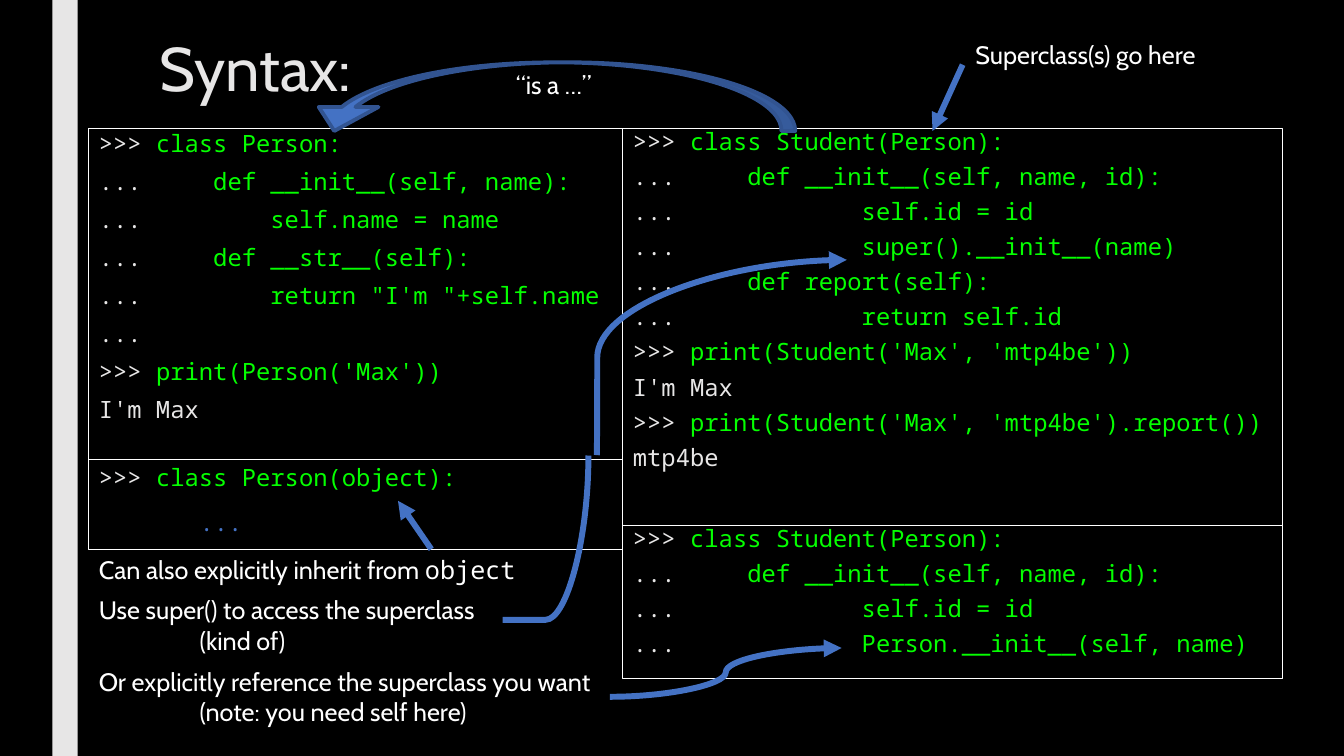
from dataclasses import dataclass

from lxml import etree
from pptx import Presentation
from pptx.dml.color import RGBColor
from pptx.enum import shapes, text
from pptx.oxml.ns import qn
from pptx.util import Cm, Pt


@dataclass(frozen=True)
class Theme:
    black = RGBColor.from_string("000000")
    white = RGBColor.from_string("FFFFFF")
    grey = RGBColor.from_string("E7E6E6")
    green = RGBColor.from_string("05FF00")
    blue = RGBColor.from_string("4472C4")
    dark_blue = RGBColor.from_string("325491")
    sans = "Cabin"
    mono = "Noto Sans Mono"
    title_size = Pt(44)
    note_size = Pt(18)
    code_size = Pt(17)


theme = Theme()


def style(paragraph, name, size, color):
    paragraph.alignment = text.PP_ALIGN.LEFT
    paragraph.font.name = name
    paragraph.font.size = size
    paragraph.font.color.rgb = color


def add_arrow(kind, points, head=True):
    connector = slide.shapes.add_connector(kind, *[Cm(value) for value in points])
    connector.line.color.rgb = theme.blue
    connector.line.width = Pt(4.25)
    properties = connector.element.spPr
    if head:
        line = properties.find(qn("a:ln"))
        etree.SubElement(line, qn("a:tailEnd"), type="triangle")
    etree.SubElement(properties, qn("a:effectLst"))
    return connector


presentation = Presentation()
presentation.slide_width = Cm(33.87)
presentation.slide_height = Cm(19.05)
slide = presentation.slides.add_slide(presentation.slide_layouts[5])
slide.background.fill.solid()
slide.background.fill.fore_color.rgb = theme.black

bar = slide.shapes.add_shape(
    shapes.MSO_SHAPE.RECTANGLE, Cm(1.32), 0, Cm(0.64), presentation.slide_height)
bar.shadow.inherit = False
bar.fill.solid()
bar.fill.fore_color.rgb = theme.grey
bar.line.fill.background()

title = slide.shapes.title
title.left, title.top, title.width, title.height = Cm(3.76), Cm(0.86), Cm(26.67), Cm(4.11)
title.text_frame.text = "Syntax:"
title.text_frame.vertical_anchor = text.MSO_ANCHOR.TOP
title.text_frame.auto_size = text.MSO_AUTO_SIZE.NONE
title.text_frame.paragraphs[0].line_spacing = 0.89
style(title.text_frame.paragraphs[0], theme.sans, theme.title_size, theme.grey)

person_code = """>>> class Person:
...     def __init__(self, name):
...         self.name = name
...     def __str__(self):
...         return "I'm "+self.name
...
>>> print(Person('Max'))
I'm Max"""

student_code = """>>> class Student(Person):
...     def __init__(self, name, id):
...             self.id = id
...             super().__init__(name)
...     def report(self):
...             return self.id
>>> print(Student('Max', 'mtp4be'))
I'm Max
>>> print(Student('Max', 'mtp4be').report())
mtp4be"""

object_code = """>>> class Person(object):
..."""

explicit_code = """>>> class Student(Person):
...     def __init__(self, name, id):
...             self.id = id
...             Person.__init__(self, name)"""

code_boxes = [
    (2.24, 3.23, 13.46, 8.36, 0.84, person_code),
    (15.7, 3.23, 16.61, 10.01, 0.74, student_code),
    (2.24, 11.59, 13.46, 2.26, 0.94, object_code),
    (15.7, 13.24, 16.61, 3.86, 0.74, explicit_code),
]
for left, top, width, height, spacing, code in code_boxes:
    box = slide.shapes.add_shape(
        shapes.MSO_SHAPE.RECTANGLE, Cm(left), Cm(top), Cm(width), Cm(height))
    box.shadow.inherit = False
    box.fill.background()
    box.line.color.rgb = theme.white
    box.line.width = Pt(0.75)
    frame = box.text_frame
    frame.word_wrap = True
    frame.vertical_anchor = text.MSO_ANCHOR.TOP
    for index, code_line in enumerate(code.split("\n")):
        paragraph = frame.paragraphs[0] if index == 0 else frame.add_paragraph()
        paragraph.line_spacing = spacing
        paragraph.space_before = Pt(10 if index else 0)
        style(paragraph, theme.mono, theme.code_size, theme.grey)
        prompted = code_line.startswith((">>>", "..."))
        split = 4 if prompted else len(code_line)
        for part, color in ((code_line[:split], theme.grey), (code_line[split:], theme.green)):
            if part:
                run = paragraph.add_run()
                run.text = part
                run.font.color.rgb = color
    if code == object_code:
        paragraph.space_before = Pt(13)
        paragraph.runs[0].font.color.rgb = theme.blue
        paragraph._p.get_or_add_pPr().set("marL", str(Cm(2.54)))

is_a_arrow = slide.shapes.add_shape(
    shapes.MSO_SHAPE.CURVED_UP_ARROW, Cm(7.67), Cm(1.57), Cm(12.37), Cm(1.73))
is_a_arrow.rotation = 180
for index, value in enumerate((0.2, 0.87, 0.35)):
    is_a_arrow.adjustments[index] = value
is_a_arrow.shadow.inherit = False
is_a_arrow.fill.solid()
is_a_arrow.fill.fore_color.rgb = theme.blue
is_a_arrow.line.color.rgb = theme.dark_blue
is_a_arrow.line.width = Pt(2.75)

notes = [
    (12.75, 1.63, 3.56, 1.02, ["“is a …”"]),
    (24.33, 0.86, 7.21, 1.02, ["Superclass(s) go here"]),
    (2.24, 13.85, 11.18, 1.02, ["Can also explicitly inherit from "]),
    (2.24, 14.86, 11.18, 1.8, ["Use super() to access the superclass", "(kind of)"]),
    (2.24, 16.66, 13.13, 1.8,
     ["Or explicitly reference the superclass you want", "(note: you need self here)"]),
]
for left, top, width, height, lines in notes:
    note = slide.shapes.add_textbox(Cm(left), Cm(top), Cm(width), Cm(height))
    frame = note.text_frame
    frame.word_wrap = True
    for index, words in enumerate(lines):
        paragraph = frame.paragraphs[0] if index == 0 else frame.add_paragraph()
        if index:
            paragraph._p.get_or_add_pPr().set("marL", str(Cm(2.54)))
        style(paragraph, theme.sans, theme.note_size, theme.white)
        paragraph.add_run().text = words
        if words.endswith("inherit from "):
            keyword = paragraph.add_run()
            keyword.text = "object"
            keyword.font.name = theme.mono

straight, curve = shapes.MSO_CONNECTOR.STRAIGHT, shapes.MSO_CONNECTOR.CURVE
add_arrow(straight, (24.26, 1.63, 23.5, 3.3))
add_arrow(straight, (10.87, 13.84, 10.03, 12.62))
super_arrow = add_arrow(curve, (15.04, 11.47, 21.34, 6.55))
explicit_arrow = add_arrow(curve, (15.37, 17.56, 21.21, 16.33))
explicit_arrow.begin_connect(note, 3)
super_stem = add_arrow(curve, (15.82, 14.63, 11.68, 12.47), head=False)
super_stem.element.spPr.find(qn("a:xfrm")).set("rot", "5400000")
for connector, bend in ((super_arrow, 200), (super_stem, 0)):
    guides = connector.element.spPr.find(qn("a:prstGeom")).find(qn("a:avLst"))
    etree.SubElement(guides, qn("a:gd"), name="adj1", fmla=f"val {bend}")

presentation.save("out.pptx")
